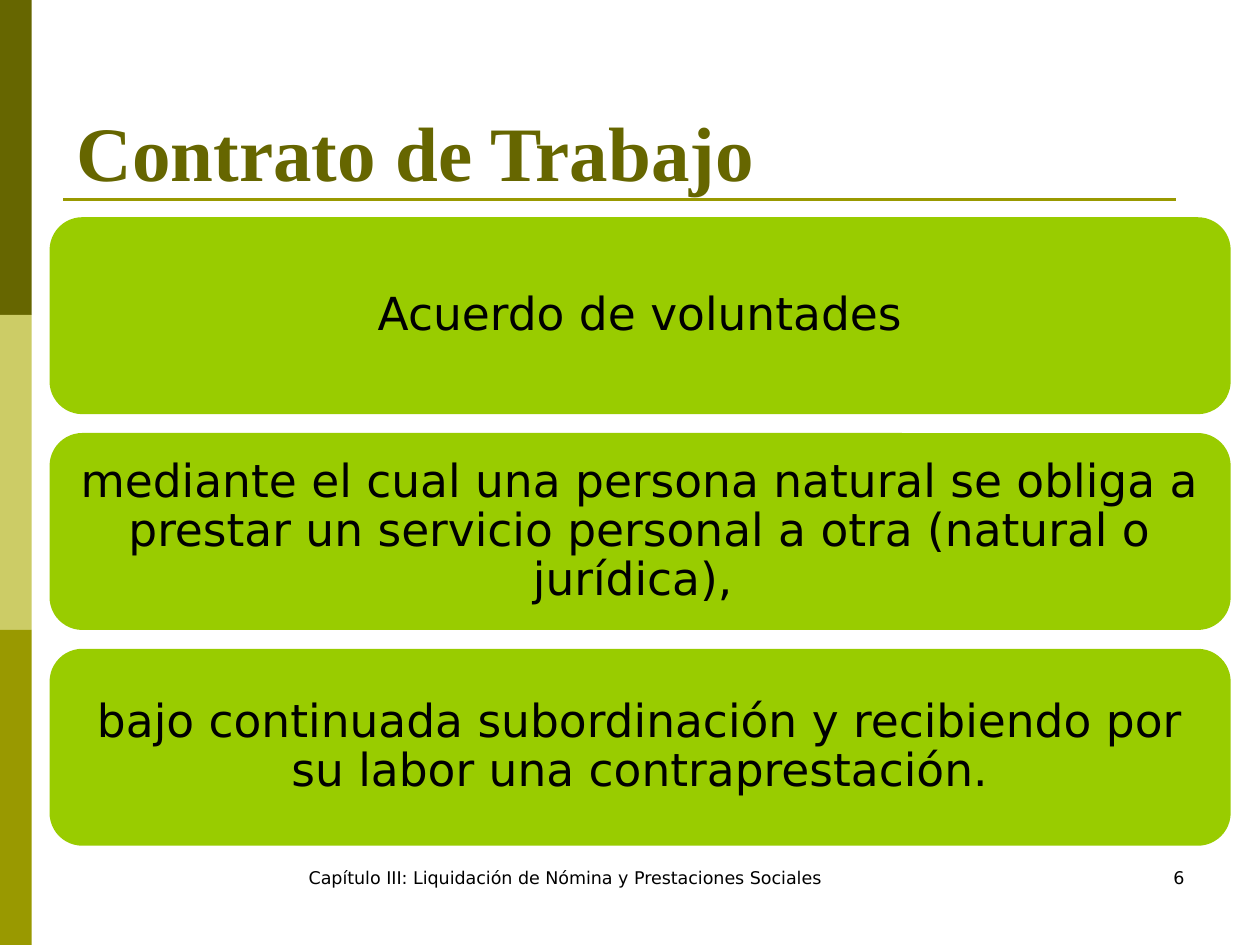
from lxml import etree
from pptx import Presentation
from pptx.dml.color import RGBColor
from pptx.enum.shapes import MSO_CONNECTOR, MSO_SHAPE
from pptx.enum.text import MSO_ANCHOR, PP_ALIGN
from pptx.oxml.ns import qn
from pptx.util import Cm, Pt

RECT = MSO_SHAPE.RECTANGLE
ROUND = MSO_SHAPE.ROUNDED_RECTANGLE
LINE = MSO_CONNECTOR.STRAIGHT
TOP, MIDDLE, BOTTOM = MSO_ANCHOR.TOP, MSO_ANCHOR.MIDDLE, MSO_ANCHOR.BOTTOM
LEFT, CENTER, RIGHT = PP_ALIGN.LEFT, PP_ALIGN.CENTER, PP_ALIGN.RIGHT
DARK = RGBColor(0x66, 0x66, 0x00)
PALE = RGBColor(0xCC, 0xCC, 0x66)
OLIVE = RGBColor(0x99, 0x99, 0x00)
GREEN = RGBColor(0x99, 0xCC, 0x00)
BLACK = RGBColor(0x00, 0x00, 0x00)
SANS = "DejaVu Sans"
SERIF = "Times New Roman"


def add_block(kind, left, top, width, height, color):
    block = slide.shapes.add_shape(kind, Cm(left), Cm(top), Cm(width), Cm(height))
    block.shadow.inherit = False
    block.fill.solid()
    block.fill.fore_color.rgb = color
    block.line.fill.background()
    return block


def set_text(shape, text, size, face, color, align, anchor):
    frame = shape.text_frame
    frame.word_wrap = True
    frame.vertical_anchor = anchor
    frame.text = text
    line = frame.paragraphs[0]
    line.alignment = align
    font = line.runs[0].font
    font.size = Pt(size)
    font.name = face
    font.color.rgb = color
    return line


deck = Presentation()
deck.slide_width = Cm(25.4)
deck.slide_height = Cm(19.05)
slide = deck.slides.add_slide(deck.slide_layouts[6])

for row, color in enumerate([DARK, PALE, OLIVE]):
    add_block(RECT, 0, row * 6.35, 0.64, 6.35, color)

rule = slide.shapes.add_connector(LINE, Cm(1.27), Cm(4.02), Cm(23.7), Cm(4.02))
rule.line.color.rgb = OLIVE
rule.line.width = Pt(1.5)
etree.SubElement(rule._element.spPr, qn("a:effectLst"))

title = slide.shapes.add_textbox(Cm(1.3), Cm(0.91), Cm(22.86), Cm(3.18))
line = set_text(title, "Contrato de Trabajo", 44, SERIF, DARK, LEFT, BOTTOM)
line.runs[0].font.bold = True

parts = [
    "Acuerdo de voluntades",
    "mediante el cual una persona natural se obliga a prestar un servicio "
    "personal a otra (natural o jurídica), ",
    "bajo continuada subordinación y recibiendo por su labor una contraprestación.",
]
for row, text in enumerate(parts):
    card = add_block(ROUND, 1, 4.38 + row * 4.35, 23.81, 3.97, GREEN)
    frame = card.text_frame
    frame.margin_left = frame.margin_right = Cm(0.28)
    frame.margin_top = frame.margin_bottom = Cm(0.28)
    line = set_text(card, text, 26, SANS, BLACK, CENTER, MIDDLE)
    line.line_spacing = 0.9

notes = [
    (4.75, 13.28, "Capítulo III: Liquidación de Nómina y Prestaciones Sociales", CENTER),
    (18.21, 5.92, "6", RIGHT),
]
for left, width, text, align in notes:
    foot = slide.shapes.add_textbox(Cm(left), Cm(17.35), Cm(width), Cm(1.27))
    set_text(foot, text, 10, SANS, BLACK, align, TOP)

deck.save("out.pptx")
